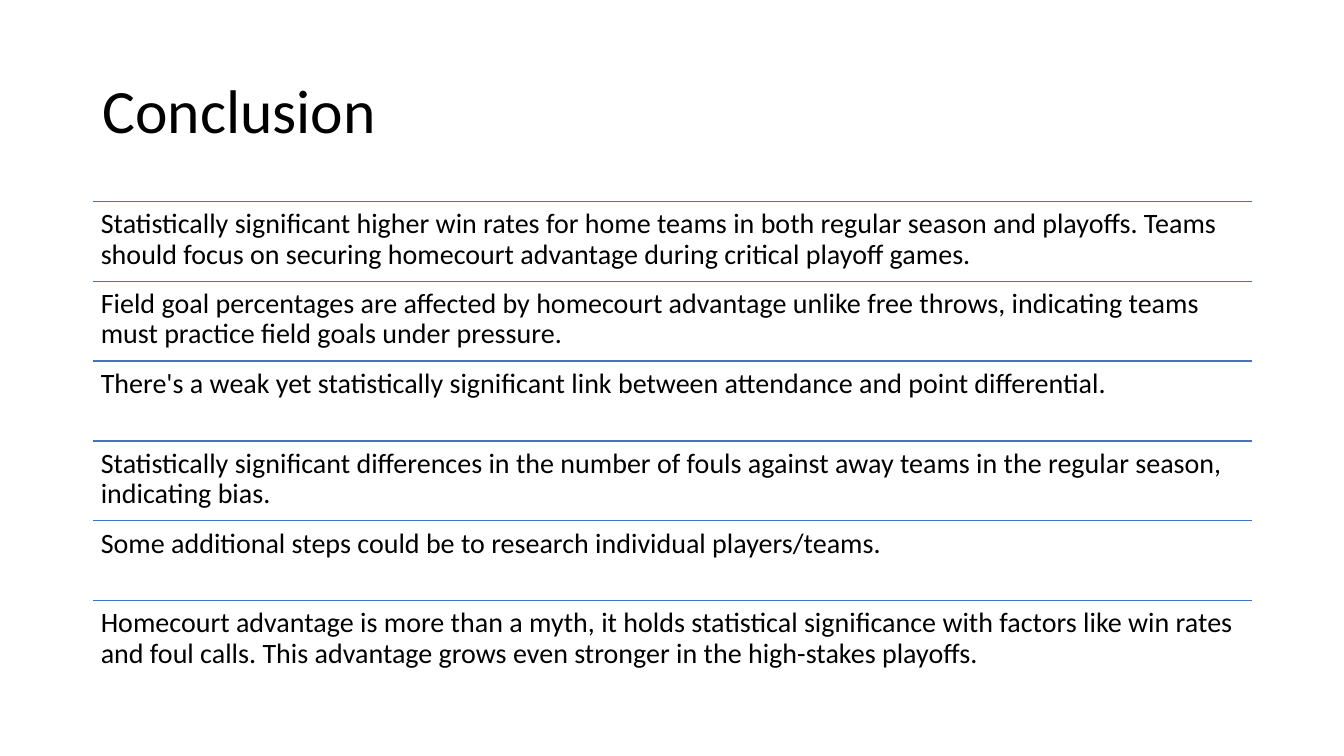
from dataclasses import dataclass

from lxml import etree
from pptx import Presentation
from pptx import util as u
from pptx.dml.color import RGBColor
from pptx.enum import shapes, text
from pptx.oxml.ns import qn


@dataclass(frozen=True)
class Theme:
    font: str = "Calibri"
    ink: RGBColor = RGBColor(0x00, 0x00, 0x00)
    rule: RGBColor = RGBColor(0x44, 0x72, 0xC4)
    title_size: int = 44
    body_size: int = 20
    rule_width: int = 1
    line_spacing: float = 0.9


FINDINGS = [
    "Statistically significant higher win rates for home teams in both regular season "
    "and playoffs. Teams should focus on securing homecourt advantage during critical "
    "playoff games.",
    "Field goal percentages are affected by homecourt advantage unlike free throws, "
    "indicating teams must practice field goals under pressure.",
    "There's a weak yet statistically significant link between attendance and point "
    "differential.",
    "Statistically significant differences in the number of fouls against away teams in "
    "the regular season, indicating bias.",
    "Some additional steps could be to research individual players/teams.",
    "Homecourt advantage is more than a myth, it holds statistical significance with "
    "factors like win rates and foul calls. This advantage grows even stronger in the "
    "high-stakes playoffs.",
]


class ConclusionSlide:
    LEFT, WIDTH = u.Inches(0.92), u.Inches(11.5)
    LIST_TOP, LIST_HEIGHT = u.Inches(2), u.Inches(4.75)

    def __init__(self, presentation, theme):
        self.theme = theme
        self.slide = presentation.slides.add_slide(presentation.slide_layouts[6])

    def text_box(self, wording, top, height, size, inset, anchor):
        box = self.slide.shapes.add_textbox(self.LEFT, top, self.WIDTH, height)
        frame = box.text_frame
        frame.word_wrap = True
        frame.vertical_anchor = anchor
        frame.margin_left = frame.margin_right = u.Inches(inset)
        frame.margin_top = frame.margin_bottom = u.Inches(inset)
        paragraph = frame.paragraphs[0]
        paragraph.text = wording
        paragraph.line_spacing = self.theme.line_spacing
        paragraph.font.name = self.theme.font
        paragraph.font.size = u.Pt(size)
        paragraph.font.color.rgb = self.theme.ink

    def title(self, wording):
        self.text_box(wording, u.Inches(0.4), u.Inches(1.45), self.theme.title_size,
                      0.1, text.MSO_ANCHOR.MIDDLE)

    def rule(self, top):
        line = self.slide.shapes.add_connector(
            shapes.MSO_CONNECTOR.STRAIGHT, self.LEFT, top, self.LEFT + self.WIDTH, top)
        line.line.color.rgb = self.theme.rule
        line.line.width = u.Pt(self.theme.rule_width)
        etree.SubElement(line._element.spPr, qn("a:effectLst"))

    def ruled_list(self, items):
        """Share the list height equally, with a rule above each item."""
        row_height = self.LIST_HEIGHT // len(items)
        for row, item in enumerate(items):
            top = self.LIST_TOP + row * row_height
            self.rule(top)
            self.text_box(item, top, row_height, self.theme.body_size,
                          0.08, text.MSO_ANCHOR.TOP)


def main():
    presentation = Presentation()
    presentation.slide_width = u.Inches(13.33)
    presentation.slide_height = u.Inches(7.5)
    conclusion = ConclusionSlide(presentation, Theme())
    conclusion.title("Conclusion")
    conclusion.ruled_list(FINDINGS)
    presentation.save("out.pptx")


if __name__ == "__main__":
    main()
